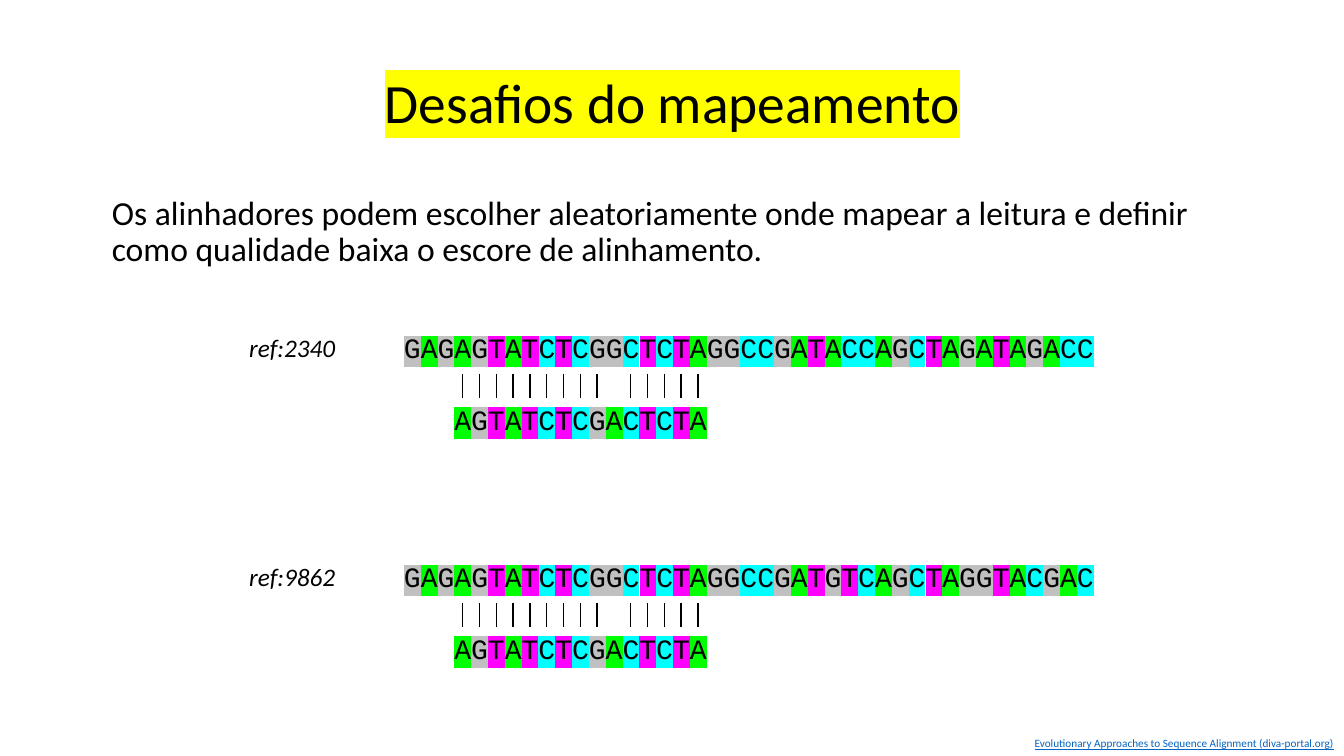
"""Build the slide on mapping challenges with two alignments of the same read."""
from itertools import groupby

from lxml.etree import SubElement
from pptx import Presentation
from pptx.dml.color import RGBColor
from pptx.enum.shapes import MSO_CONNECTOR as CONN
from pptx.enum.text import MSO_ANCHOR as ANCHOR, PP_ALIGN as ALIGN
from pptx.oxml import parse_xml
from pptx.oxml.ns import nsdecls, qn
from pptx.util import Cm, Pt

TITLE = "Desafios do mapeamento"
BODY = ("Os alinhadores podem escolher aleatoriamente onde mapear a leitura "
        "e definir como qualidade baixa o escore de alinhamento.")
SOURCE = "Evolutionary Approaches to Sequence Alignment (diva-portal.org)"
READ = "AGTATCTCGACTCTA"
READ_START = 3
ALIGNMENTS = [
    ("ref:2340", "GAGAGTATCTCGGCTCTAGGCCGATACCAGCTAGATAGACC"),
    ("ref:9862", "GAGAGTATCTCGGCTCTAGGCCGATGTCAGCTAGGTACGAC"),
]

THEME = {
    "sans": "Calibri", "mono": "Courier New",
    "text": "000000", "link": "0563C1", "title_mark": "FFFF00",
    "bases": {"A": "00FF00", "C": "00FFFF", "G": "C0C0C0", "T": "FF00FF"},
    "title": 39.6, "body": 24, "sequence": 20, "label": 18, "source": 8,
}

SEQ_LEFT, SEQ_TOP, SEQ_H = 9.93, 8.31, 1.14
INSET = 0.25
PITCH = 0.6 * THEME["sequence"] / 72 * 2.54
READ_DROP, TICK_DROP, TICK_H = 1.8, 1.11, 0.61
ALIGNMENT_STEP = 5.77


def add_text(shapes, box, text, size, font="sans", color="text", marks=None,
             align=ALIGN.LEFT, anchor=ANCHOR.TOP, spacing=1.0,
             italic=False, underline=False):
    """Add a text box; marks gives the highlight of each character."""
    tf = shapes.add_textbox(*map(Cm, box)).text_frame
    tf.word_wrap = True
    tf.vertical_anchor = anchor
    p = tf.paragraphs[0]
    p.alignment = align
    p.line_spacing = spacing
    marks = marks or (lambda char: None)
    for mark, chars in groupby(text, key=marks):
        r = p.add_run()
        r.text = "".join(chars)
        f = r.font
        f.name, f.size = THEME[font], Pt(size)
        f.italic, f.underline = italic, underline
        f.color.rgb = RGBColor.from_string(THEME[color])
        if mark:
            highlight = parse_xml(f"<a:highlight {nsdecls('a')}/>")
            SubElement(highlight, qn("a:srgbClr"), val=mark)
            r._r.rPr.find(qn("a:solidFill")).addnext(highlight)


def add_tick(shapes, x, top):
    """Draw one vertical match mark."""
    tick = shapes.add_connector(
        CONN.STRAIGHT, Cm(x), Cm(top), Cm(x), Cm(top + TICK_H))
    tick.line.width = Pt(1)
    tick.line.color.rgb = RGBColor.from_string(THEME["text"])
    SubElement(tick._element.spPr, qn("a:effectLst"))


def add_sequence(shapes, left, top, bases):
    """Write a sequence with each base in its own highlight."""
    width = len(bases) * PITCH + 2 * INSET + 0.1
    add_text(shapes, (left, top, width, SEQ_H), bases, THEME["sequence"],
             font="mono", marks=THEME["bases"].get, spacing=0.9)


def add_alignment(shapes, top, label, reference):
    """Draw a reference, the read below it and a mark at each match."""
    read_left = SEQ_LEFT + READ_START * PITCH
    add_text(shapes, (6.03, top - 0.05, 4.06, 1.02), label, THEME["label"],
             italic=True)
    add_sequence(shapes, SEQ_LEFT, top, reference)
    add_sequence(shapes, read_left, top + READ_DROP, READ)
    for i, (base, ref_base) in enumerate(zip(READ, reference[READ_START:])):
        if base == ref_base:
            add_tick(shapes, read_left + INSET + (i + 0.5) * PITCH,
                     top + TICK_DROP)


def main():
    """Assemble and save the slide."""
    prs = Presentation()
    prs.slide_width, prs.slide_height = Cm(33.87), Cm(19.05)
    s = prs.slides.add_slide(prs.slide_layouts[6])
    add_text(s.shapes, (2.57, 4.83, 28.88, 12.67), BODY, THEME["body"],
             spacing=0.9)
    for i, (label, reference) in enumerate(ALIGNMENTS):
        group = s.shapes.add_group_shape()
        add_alignment(group.shapes, SEQ_TOP + i * ALIGNMENT_STEP, label,
                      reference)
    add_text(s.shapes, (0, 18.44, 33.87, 0.61), SOURCE, THEME["source"],
             color="link", align=ALIGN.RIGHT, underline=True)
    add_text(s.shapes, (2.34, 1.75, 29.21, 1.75), TITLE, THEME["title"],
             marks=lambda char: THEME["title_mark"], align=ALIGN.CENTER,
             anchor=ANCHOR.BOTTOM, spacing=0.8)
    prs.save("out.pptx")


if __name__ == "__main__":
    main()
